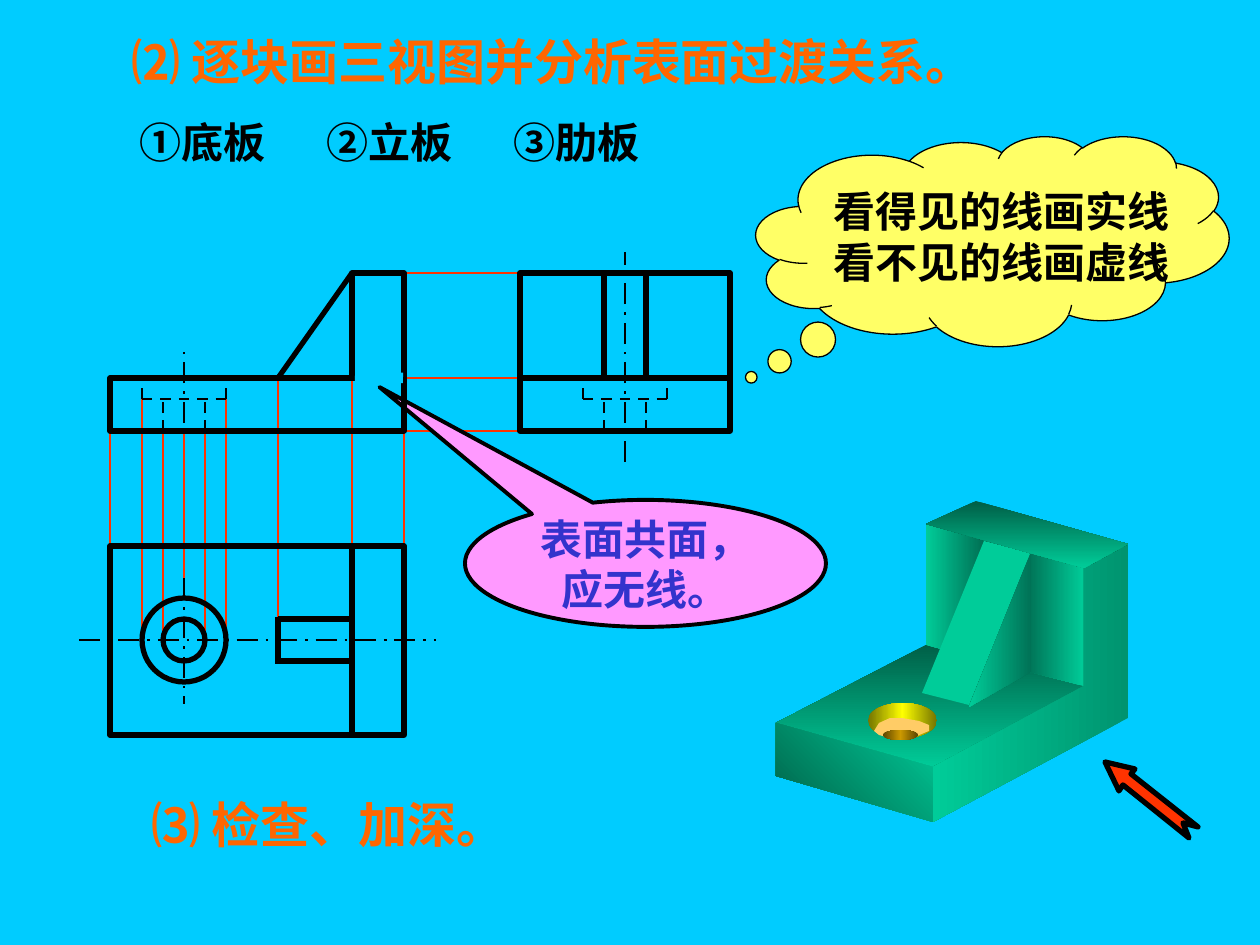
from lxml.etree import SubElement
from pptx import Presentation
from pptx.dml.color import RGBColor
from pptx.enum.dml import MSO_LINE_DASH_STYLE as Dash
from pptx.enum.shapes import MSO_CONNECTOR as Connector, MSO_SHAPE as Shape
from pptx.enum.text import MSO_ANCHOR as Anchor, MSO_AUTO_SIZE as AutoSize, PP_ALIGN as Align
from pptx.oxml.ns import qn
from pptx.util import Pt

PX = 914400 / 126
COLOURS = {
    "sky": "00CCFF", "ink": "000000", "projection": "FF3300", "heading": "FF6600",
    "cloud": "FFFF66", "pink": "FF99FF", "note": "3333CC",
    "green": "00CC99", "shade": "005E46", "mid": "00946F", "deep": "004C39", "rib": "007256",
    "olive": "757500", "yellow": "FFFF00", "floor": "FFCC66", "brown": "5E4600", "gold": "CC9900",
}
RGB = {name: RGBColor.from_string(code) for name, code in COLOURS.items()}
SANS = "Noto Sans CJK SC"


def write(frame, text, size=24, colour="ink", font=SANS, align=Align.LEFT, anchor=Anchor.TOP):
    """Fill a text frame with one bold paragraph per line of text."""
    frame.word_wrap = False
    frame.vertical_anchor = anchor
    for index, line in enumerate(text.split("\n")):
        para = frame.add_paragraph() if index else frame.paragraphs[0]
        para.alignment = align
        span = para.add_run()
        span.text = line
        span.font.size = Pt(size)
        span.font.bold = True
        span.font.name = font
        span.font.color.rgb = RGB[colour]
        SubElement(span.font._element, qn("a:ea"), typeface=SANS)


def draw_line(x1, y1, x2, y2, colour="ink", width=1.5, dash=None):
    line = page.shapes.add_connector(
        Connector.STRAIGHT, *(round(v * PX) for v in (x1, y1, x2, y2)))
    line.line.color.rgb = RGB[colour]
    line.line.width = Pt(width)
    if dash:
        line.line.dash_style = dash
    SubElement(line._element.spPr, qn("a:effectLst"))


deck = Presentation()
deck.slide_width, deck.slide_height = round(1260 * PX), round(945 * PX)
page = deck.slides.add_slide(deck.slide_layouts[5])
page.background.fill.solid()
page.background.fill.fore_color.rgb = RGB["sky"]

# Headings
title = page.shapes.title
title.left, title.top, title.width, title.height = (round(v * PX) for v in (119, 25, 868, 72))
write(title.text_frame, "⑵ 逐块画三视图并分析表面过渡关系。", size=28, colour="heading")
title.text_frame.auto_size = AutoSize.NONE

labels = [
    ("①底板", (127, 110, 151, 63), {}),
    ("②立板", (314, 110, 151, 63), {}),
    ("③肋板", (501, 110, 151, 63), {}),
    ("⑶ 检查、加深。", (139, 788, 378, 72),
     {"size": 28, "colour": "heading", "anchor": Anchor.MIDDLE}),
]
for text, place, style in labels:
    box = page.shapes.add_textbox(*(round(v * PX) for v in place))
    write(box.text_frame, text, **style)

# Edges shared by the three views
LEFT, STEP, RIGHT = 110, 352, 404
SIDE_LEFT, SIDE_WIDTH = 520, 210
TOP, BASE_TOP, BASE_BOTTOM = 273, 378, 431
PLAN_TOP, PLAN_BOTTOM = 546, 735
HOLE_X, HOLE_Y, SIDE_AXIS = 184, 640, 625
BORE, DRILL, RIB_HALF, RIB_X = 42, 21, 21, 278
SEAT = 399

axes = [
    (79, HOLE_Y, 436, HOLE_Y),
    (HOLE_X, 578, HOLE_X, 704),
    (HOLE_X, 462, HOLE_X, 347),
    (SIDE_AXIS, 462, SIDE_AXIS, 252),
]
for axis in axes:
    draw_line(*axis, dash=Dash.LONG_DASH_DOT)

projections = [(RIGHT, y, SIDE_LEFT, y) for y in (TOP, BASE_TOP, BASE_BOTTOM)]
projections += [
    (x, low, x, high) for x, low, high in (
        (LEFT, PLAN_TOP, BASE_BOTTOM), (RIGHT, PLAN_TOP, BASE_BOTTOM),
        (STEP, PLAN_TOP, BASE_TOP), (RIB_X, 619, BASE_TOP), (HOLE_X, 578, BASE_BOTTOM),
        (HOLE_X - BORE, HOLE_Y, SEAT), (HOLE_X + BORE, HOLE_Y, SEAT),
        (HOLE_X - DRILL, HOLE_Y, BASE_BOTTOM), (HOLE_X + DRILL, HOLE_Y, BASE_BOTTOM))
]
for projection in projections:
    draw_line(*projection, colour="projection")

for centre in (HOLE_X, SIDE_AXIS):
    for sign in (-1, 1):
        wall, drill = centre + sign * BORE, centre + sign * DRILL
        draw_line(wall, SEAT, wall, BASE_TOP, dash=Dash.DASH)
        draw_line(drill, BASE_BOTTOM, drill, SEAT, dash=Dash.DASH)
    draw_line(centre - BORE, SEAT, centre + BORE, SEAT, dash=Dash.DASH)

# Callouts
callouts = [
    (Shape.CLOUD_CALLOUT, (756, 136, 473, 210), (-0.51, 0.649), "cloud", 0.75,
     "看得见的线画实线\n看不见的线画虚线", {}),
    (Shape.OVAL_CALLOUT, (465, 500, 361, 127), (-0.737, -1.389), "pink", 2.25,
     "表面共面，\n应无线。", {"colour": "note", "align": Align.CENTER}),
]
for kind, place, tip, fill, width, text, style in callouts:
    callout = page.shapes.add_shape(kind, *(round(v * PX) for v in place))
    callout.adjustments[0], callout.adjustments[1] = tip
    callout.shadow.inherit = False
    callout.fill.solid()
    callout.fill.fore_color.rgb = RGB[fill]
    callout.line.color.rgb = RGB["ink"]
    callout.line.width = Pt(width)
    write(callout.text_frame, text, font="Times New Roman", anchor=Anchor.MIDDLE, **style)

# Heavy outlines of the views
outlines = [
    (Shape.RECTANGLE, (LEFT, BASE_TOP, RIGHT - LEFT, BASE_BOTTOM - BASE_TOP)),
    (Shape.RECTANGLE, (STEP, TOP, RIGHT - STEP, BASE_TOP - TOP)),
    (Shape.RECTANGLE, (LEFT, PLAN_TOP, RIGHT - LEFT, PLAN_BOTTOM - PLAN_TOP)),
    (Shape.RECTANGLE, (SIDE_LEFT, BASE_TOP, SIDE_WIDTH, BASE_BOTTOM - BASE_TOP)),
    (Shape.RECTANGLE, (SIDE_LEFT, TOP, SIDE_WIDTH, BASE_TOP - TOP)),
]
outlines += [(Shape.OVAL, (HOLE_X - r, HOLE_Y - r, 2 * r, 2 * r)) for r in (BORE, DRILL)]
for kind, place in outlines:
    outline = page.shapes.add_shape(kind, *(round(v * PX) for v in place))
    outline.shadow.inherit = False
    outline.fill.background()
    outline.line.color.rgb = RGB["ink"]
    outline.line.width = Pt(3)

draw_line(STEP, PLAN_TOP, STEP, PLAN_BOTTOM, width=3)
draw_line(RIB_X, 617, RIB_X, 664, width=3)
draw_line(STEP, TOP, RIB_X, BASE_TOP, width=3)
for offset in (-RIB_HALF, RIB_HALF):
    draw_line(RIB_X, HOLE_Y + offset, STEP, HOLE_Y + offset, width=3)
    draw_line(SIDE_AXIS + offset, TOP, SIDE_AXIS + offset, BASE_TOP, width=3)
draw_line(355, 376, 403, 378, colour="sky", width=6)

# Solid model and view arrow: a list holds corners, a tuple the box of an ellipse
faces = [
    ([(776, 723), (933, 768), (1088, 686), (930, 643)], ["shade", "green"], 90),
    ((868, 703, 69, 35), ["olive", "yellow", "olive"], 180),
    ([(926, 524), (1084, 568), (1084, 686), (926, 645)], ["green", "deep", "green"], 180),
    ([(874, 731), (879, 723), (890, 718), (902, 718), (919, 721), (929, 725), (929, 731),
      (924, 733), (912, 738), (900, 738), (886, 737), (879, 735)], ["floor"], 0),
    ((883, 730, 35, 10), ["brown", "gold", "brown"], 180),
    ([(776, 723), (776, 776), (933, 822), (933, 767)], ["green", "shade"], 135),
    ([(933, 767), (933, 822), (1128, 718), (1128, 543), (1084, 568), (1084, 686)],
     ["mid", "green"], 180),
    ([(984, 541), (922, 693), (969, 705), (1031, 553)], ["green"], 0),
    ([(1031, 552), (1031, 672), (969, 707)], ["rib", "green"], 180),
    ([(976, 501), (1128, 544), (1084, 568), (926, 524)], ["shade", "green"], 90),
    ([(1189, 838), (1123, 785), (1119, 791), (1105, 762), (1135, 769), (1131, 774),
      (1198, 827), (1183, 823)], ["projection"], 0),
]
for geometry, colours, angle in faces:
    if isinstance(geometry, tuple):
        face = page.shapes.add_shape(Shape.OVAL, *(round(v * PX) for v in geometry))
    else:
        builder = page.shapes.build_freeform(*geometry[0], scale=PX)
        builder.add_line_segments(geometry[1:], close=True)
        face = builder.convert_to_shape()
    face.shadow.inherit = False
    face.line.fill.background()
    if len(colours) == 1:
        face.fill.solid()
        face.fill.fore_color.rgb = RGB[colours[0]]
        continue
    face.fill.gradient()
    face.fill.gradient_angle = 360 - angle
    stops = face._element.spPr.find(".//" + qn("a:gsLst"))
    stops.clear()
    for index, colour in enumerate(colours):
        stop = SubElement(stops, qn("a:gs"), pos=str(100000 * index // (len(colours) - 1)))
        SubElement(stop, qn("a:srgbClr"), val=COLOURS[colour])

arrow = face
arrow.line.color.rgb = RGB["ink"]
arrow.line.width = Pt(3)

deck.save("out.pptx")
